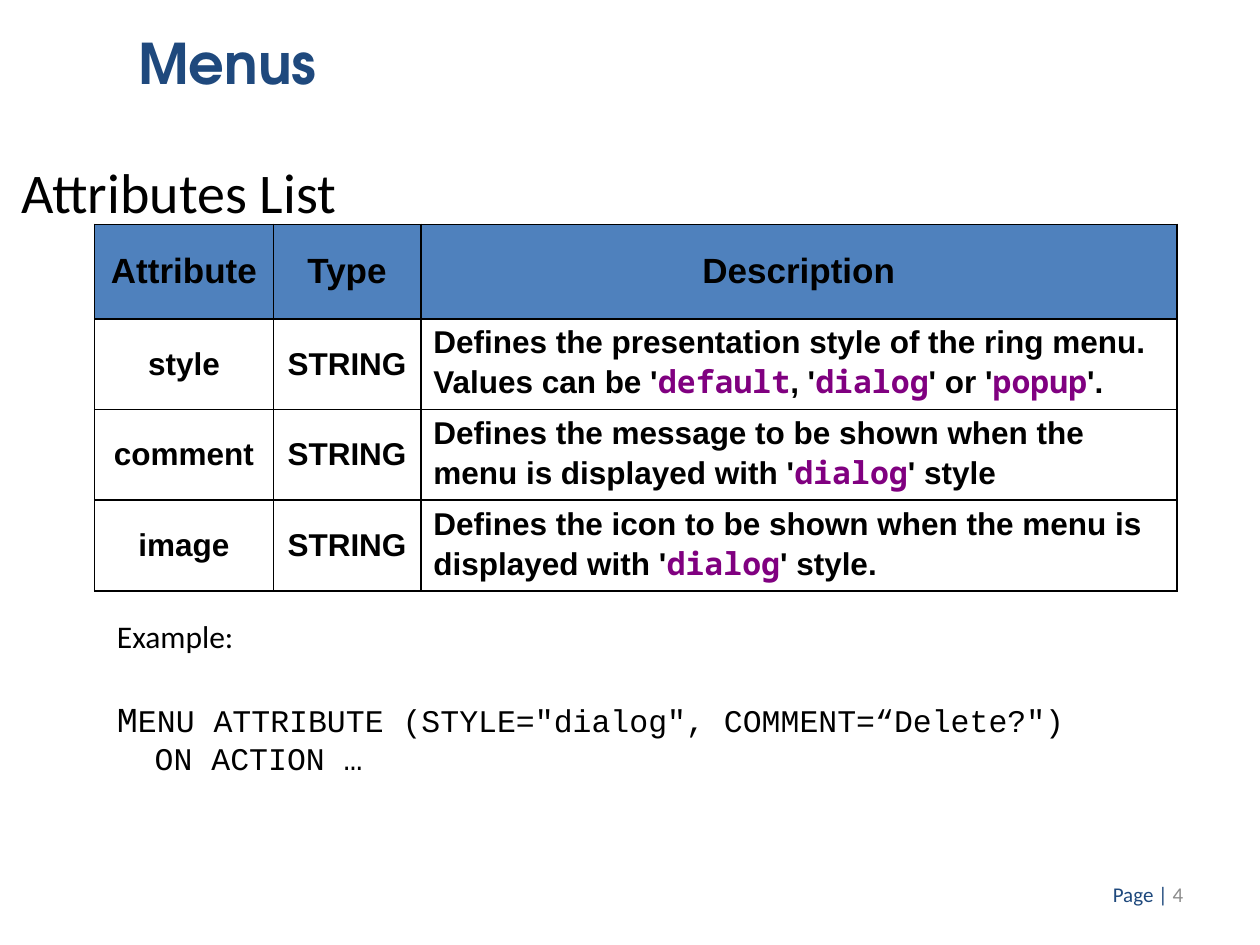
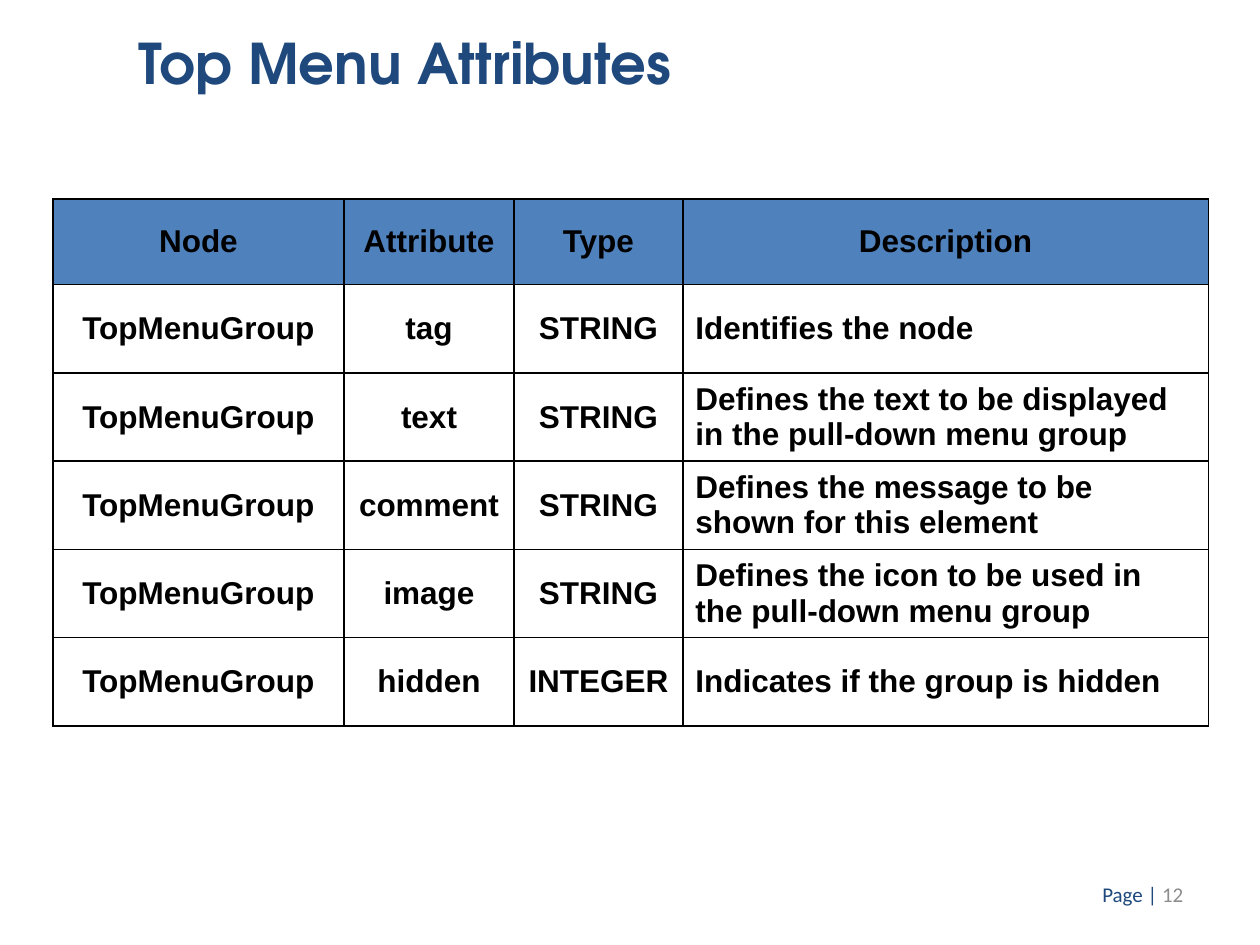
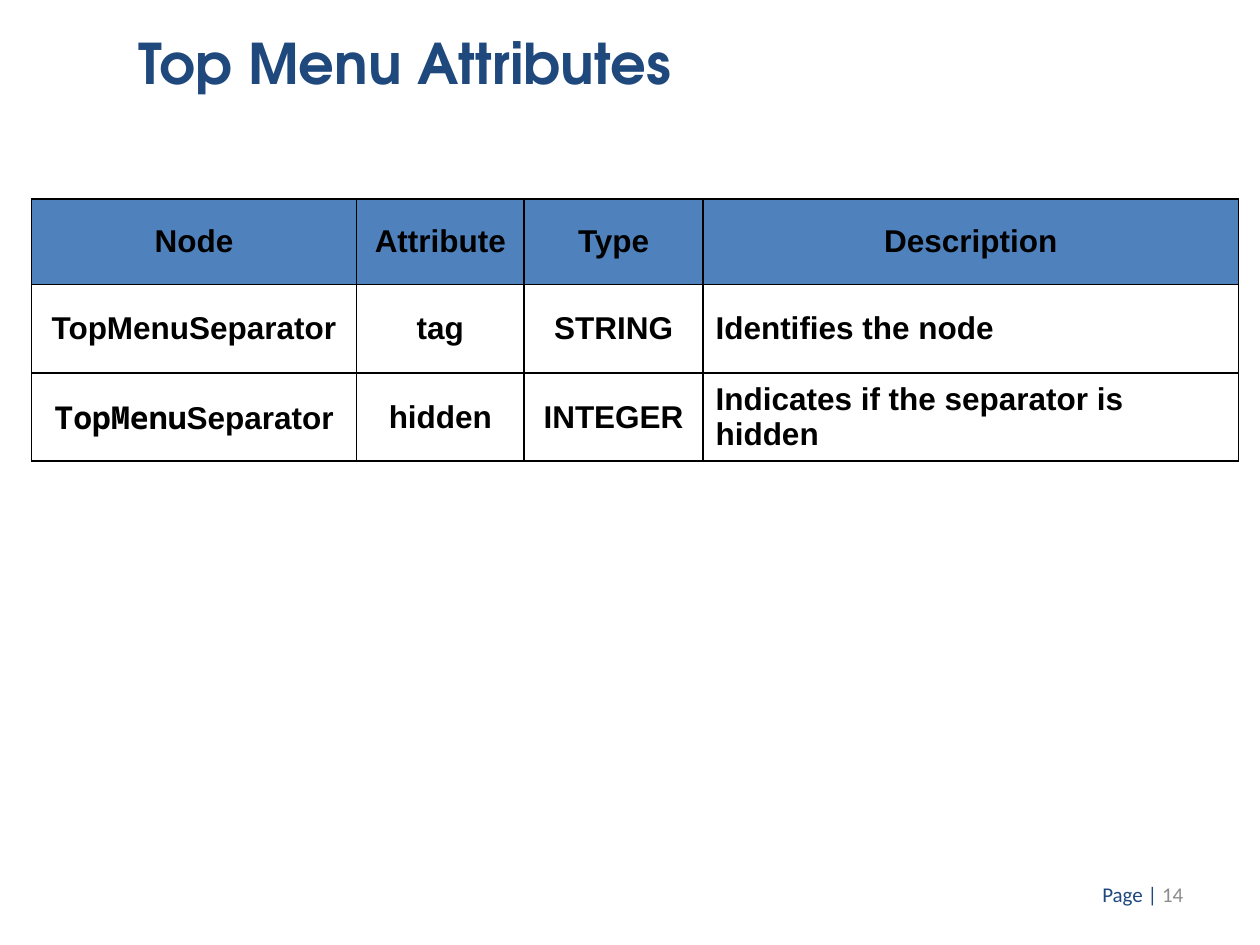
from lxml import etree
from pptx import Presentation
from pptx.dml.color import RGBColor
from pptx.enum.text import MSO_ANCHOR, PP_ALIGN
from pptx.oxml.ns import qn
from pptx.util import Inches, Pt

LEFT, MID, RIGHT = PP_ALIGN.LEFT, PP_ALIGN.CENTER, PP_ALIGN.RIGHT
TOP, CENTER = MSO_ANCHOR.TOP, MSO_ANCHOR.MIDDLE

NAVY = RGBColor(0x1F, 0x49, 0x7D)
BLUE = RGBColor(0x4F, 0x81, 0xBD)
PURPLE = RGBColor(0x80, 0x00, 0x80)
GRAY = RGBColor(0x8C, 0x8C, 0x8C)
BLACK = RGBColor(0, 0, 0)
WHITE = RGBColor(0xFF, 0xFF, 0xFF)

BODY, CODE, HEAD = "Calibri", "Courier New", "TeX Gyre Adventor"
CELL, MONO = "Arial", "Noto Sans Mono"

STYLES = [
    ["Attribute", "Type", "Description"],
    ["style", "STRING", "Defines the presentation style of the ring menu. "
     "Values can be '`default`, '`dialog`' or '`popup`'."],
    ["comment", "STRING", "Defines the message to be shown when the menu "
     "is displayed with '`dialog`' style"],
    ["image", "STRING", "Defines the icon to be shown when the menu "
     "is displayed with '`dialog`' style."],
]
NODES = ["Node", "Attribute", "Type", "Description"]
GROUPS = [
    NODES,
    ["TopMenuGroup", "tag", "STRING", "Identifies the node"],
    ["TopMenuGroup", "text", "STRING",
     "Defines the text to be displayed in the pull-down menu group"],
    ["TopMenuGroup", "comment", "STRING",
     "Defines the message to be shown for this element"],
    ["TopMenuGroup", "image", "STRING",
     "Defines the icon to be used in the pull-down menu group"],
    ["TopMenuGroup", "hidden", "INTEGER", "Indicates if the group is hidden"],
]
BREAKS = [
    NODES,
    ["TopMenuSeparator", "tag", "STRING", "Identifies the node"],
    ["`TopMenu`Separator", "hidden", "INTEGER",
     "Indicates if the separator is hidden"],
]


def add_run(para, text, face, size, color=BLACK, bold=False):
    run = para.add_run()
    run.text = text
    font = run.font
    font.name, font.size, font.bold = face, Pt(size), bold
    font.color.rgb = color


def add_box(slide, left, top, width, height, anchor=TOP):
    box = slide.shapes.add_textbox(
        Inches(left), Inches(top), Inches(width), Inches(height))
    frame = box.text_frame
    frame.word_wrap = True
    frame.vertical_anchor = anchor
    return frame


def add_frame(deck, title, page):
    slide = deck.slides.add_slide(deck.slide_layouts[6])
    foot = add_box(slide, 7.16, 6.9, 2.33, 0.4, CENTER).paragraphs[0]
    foot.alignment = RIGHT
    add_run(foot, "Page | ", BODY, 12, NAVY)
    add_run(foot, str(page), BODY, 12, GRAY)
    head = add_box(slide, 1, 0.18, 6.92, 0.9).paragraphs[0]
    add_run(head, title, HEAD, 32, NAVY, True)
    return slide


def add_edges(cell):
    props = cell._tc.get_or_add_tcPr()
    for spot, side in enumerate(("a:lnL", "a:lnR", "a:lnT", "a:lnB")):
        line = etree.Element(qn(side), w=str(Pt(1)))
        fill = etree.SubElement(line, qn("a:solidFill"))
        etree.SubElement(fill, qn("a:srgbClr"), val=str(BLACK))
        props.insert(spot, line)


def fill_cell(cell, text, size, align, back, tint):
    cell.vertical_anchor = CENTER
    cell.fill.solid()
    cell.fill.fore_color.rgb = back
    add_edges(cell)
    para = cell.text_frame.paragraphs[0]
    para.alignment = align
    for spot, part in enumerate(text.split("`")):
        if part:
            face, color = (MONO, tint) if spot % 2 else (CELL, BLACK)
            add_run(para, part, face, size, color, True)


def add_grid(slide, left, top, cols, first, high, rows,
             head=18, tint=BLACK):
    tall = first + high * (len(rows) - 1)
    table = slide.shapes.add_table(
        len(rows), len(cols), Inches(left), Inches(top),
        Inches(sum(cols)), Inches(tall)).table
    table.first_row = table.horz_banding = False
    for col, width in zip(table.columns, cols):
        col.width = Inches(width)
    for num, row in enumerate(rows):
        table.rows[num].height = Inches(high if num else first)
        for spot, text in enumerate(row):
            last = spot == len(row) - 1
            fill_cell(table.cell(num, spot), text, 18 if num else head,
                      LEFT if num and last else MID,
                      WHITE if num else BLUE, tint)


def add_lead(slide, text):
    frame = add_box(slide, 0, 1.23, 9, 0.6)
    frame.margin_left = frame.margin_right = Inches(0.17)
    frame.margin_top = frame.margin_bottom = Inches(0.08)
    para = frame.paragraphs[0]
    para.line_spacing = 0.9
    add_run(para, text, BODY, 32)


def add_code(slide):
    frame = add_box(slide, 0.83, 4.85, 8.5, 1.47)
    add_run(frame.paragraphs[0], "Example:", BODY, 18)
    call = frame.add_paragraph()
    call.space_before = Pt(24)
    add_run(call, "M", CODE, 20)
    add_run(call, 'ENU ATTRIBUTE (STYLE="dialog", COMMENT=“Delete?")',
            CODE, 18)
    add_run(frame.add_paragraph(), "  ON ACTION …", CODE, 18)


def main():
    deck = Presentation()
    deck.slide_width, deck.slide_height = Inches(10), Inches(7.5)

    slide = add_frame(deck, "Menus", 4)
    add_lead(slide, "Attributes List")
    add_grid(slide, 0.75, 1.78, (1.42, 1.17, 6), 0.75, 0.72, STYLES,
             20, PURPLE)
    add_code(slide)

    slide = add_frame(deck, "Top Menu Attributes", 12)
    add_grid(slide, 0.42, 1.58, (2.31, 1.35, 1.34, 4.17), 0.68, 0.7, GROUPS)

    slide = add_frame(deck, "Top Menu Attributes", 14)
    add_grid(slide, 0.25, 1.58, (2.58, 1.33, 1.42, 4.25), 0.68, 0.7, BREAKS)

    deck.save("out.pptx")


if __name__ == "__main__":
    main()
